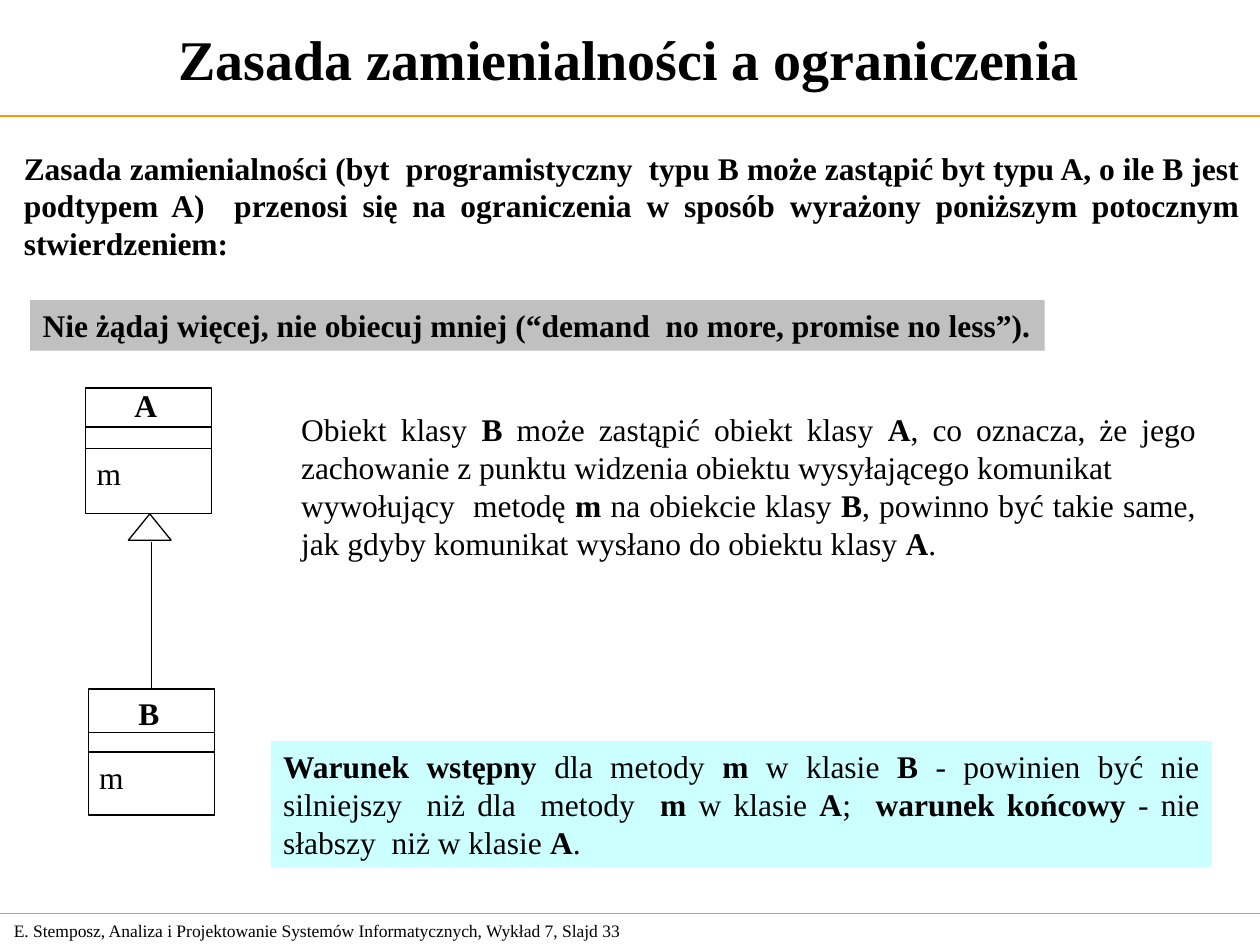
from lxml.etree import SubElement
from pptx import Presentation
from pptx.dml.color import RGBColor
from pptx.enum.shapes import MSO_CONNECTOR, MSO_SHAPE
from pptx.enum.text import MSO_ANCHOR, PP_ALIGN
from pptx.oxml.ns import qn
from pptx.util import Cm, Pt

COLORS = {"ink": "000000", "rule": "FF9900", "slogan": "C0C0C0", "condition": "CCFFFF"}

deck = Presentation()
deck.slide_width, deck.slide_height = Cm(25.4), Cm(19.05)
page = deck.slides.add_slide(deck.slide_layouts[6])


def add_text(left, top, width, height, *lines, size=18, align=PP_ALIGN.LEFT,
             anchor=MSO_ANCHOR.TOP, wrap=True, fill=None):
    """Add a text box, one paragraph per line; *asterisks* enclose bold words."""
    box = page.shapes.add_textbox(Cm(left), Cm(top), Cm(width), Cm(height))
    if fill:
        box.fill.solid()
        box.fill.fore_color.rgb = RGBColor.from_string(COLORS[fill])
    frame = box.text_frame
    frame.word_wrap = wrap
    frame.vertical_anchor = anchor
    for index, line in enumerate(lines):
        para = frame.add_paragraph() if index else frame.paragraphs[0]
        para.alignment = align
        para.font.name = "Times New Roman"
        para.font.size = Pt(size)
        para.font.color.rgb = RGBColor.from_string(COLORS["ink"])
        for part, words in enumerate(line.split("*")):
            if words:
                span = para.add_run()
                span.text = words
                span.font.bold = part % 2 == 1


def add_line(x1, y1, x2, y2, color="ink"):
    line = page.shapes.add_connector(
        MSO_CONNECTOR.STRAIGHT, Cm(x1), Cm(y1), Cm(x2), Cm(y2))
    line.line.color.rgb = RGBColor.from_string(COLORS[color])
    line.line.width = Pt(0.75)
    SubElement(line._element.spPr, qn("a:effectLst"))
    return line


# Header and footer
for rule_y in (2.34, 18.41):
    add_line(0, rule_y, 25.4, rule_y, "rule")
add_text(0.03, 18.41, 13.31, 0.69,
         "E. Stemposz, Analiza i Projektowanie Systemów Informatycznych, Wykład 7, Slajd 33",
         size=10, anchor=MSO_ANCHOR.MIDDLE)
add_text(0, 0, 25.37, 2.34, "*Zasada zamienialności a ograniczenia*",
         size=32, align=PP_ALIGN.CENTER, anchor=MSO_ANCHOR.MIDDLE)

# Principle
add_text(0.23, 2.87, 25.02, 2.54,
         "*Zasada zamienialności (byt  programistyczny  typu B może zastąpić byt typu A, "
         "o ile B jest podtypem A)  przenosi się na ograniczenia w sposób wyrażony "
         "poniższym potocznym stwierdzeniem:*", align=PP_ALIGN.JUSTIFY)
add_text(0.61, 6.05, 20.45, 1.02,
         "*Nie żądaj więcej, nie obiecuj mniej (“demand  no more, promise no less”).*",
         wrap=False, fill="slogan")

# Class diagram: outlines of class A, class B and the inheritance triangle
SIDE = 2.54
outlines = []
for preset, left, top, width, height in (
    (MSO_SHAPE.RECTANGLE, 1.73, 7.82, SIDE, SIDE),
    (MSO_SHAPE.RECTANGLE, 1.78, 13.89, SIDE, SIDE),
    (MSO_SHAPE.FLOWCHART_EXTRACT, 2.59, 10.36, 0.86, 0.53),
):
    outline = page.shapes.add_shape(preset, Cm(left), Cm(top), Cm(width), Cm(height))
    outline.shadow.inherit = False
    outline.fill.background()
    outline.line.color.rgb = RGBColor.from_string(COLORS["ink"])
    outline.line.width = Pt(0.75)
    outlines.append(outline)
class_a, class_b, triangle = outlines

inheritance = add_line(3.05, 10.92, 3.05, 13.89)
inheritance.end_connect(class_b, 0)

for name, left, name_x, name_y, dividers, method_y in (
    ("A", 1.73, 2.46, 7.65, (8.61, 9.04), 9.02),
    ("B", 1.78, 2.54, 13.87, (14.76, 15.16), 15.16),
):
    for divider_y in dividers:
        add_line(left, divider_y, left + SIDE, divider_y)
    add_text(name_x, name_y, 0.95, 1.02, f"*{name}*", wrap=False)
    add_text(left - 0.03, method_y, 0.99, 1.02, "m", wrap=False)

# Explanations
add_text(5.46, 14.94, 18.97, 2.54,
         "*Warunek wstępny* dla metody *m* w klasie *B* - powinien być nie silniejszy  "
         "niż dla  metody  *m* w klasie *A*;  *warunek końcowy* - nie słabszy  "
         "niż w klasie *A*.", align=PP_ALIGN.JUSTIFY, fill="condition")
add_text(5.82, 8.15, 18.54, 3.3,
         "Obiekt klasy *B* może zastąpić obiekt klasy *A*, co oznacza, że jego zachowanie "
         "z punktu widzenia obiektu wysyłającego komunikat",
         "wywołujący  metodę *m *na obiekcie klasy *B*, powinno być takie same, "
         "jak gdyby komunikat wysłano do obiektu klasy *A*.", align=PP_ALIGN.JUSTIFY)

deck.save("out.pptx")
